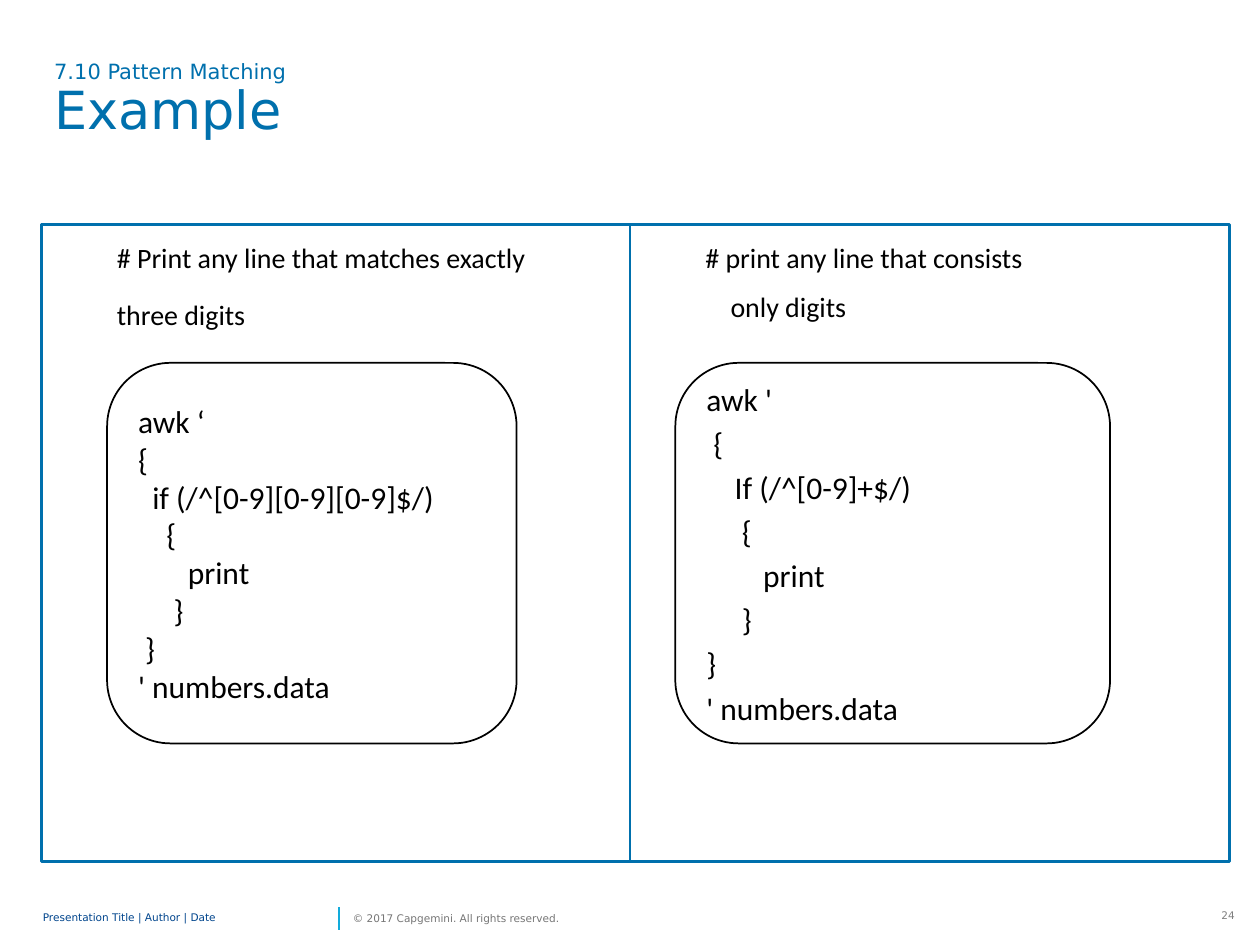
from dataclasses import dataclass

import pptx
import pptx.dml.color
import pptx.enum.shapes
import pptx.enum.text
import pptx.oxml.ns
import pptx.util
from pptx.util import Inches

COLORS = {
    "white": "FFFFFF",
    "black": "000000",
    "blue": "0070AD",
    "cyan": "12ABDB",
    "navy": "00458D",
    "copyright": "767676",
    "number": "808080",
}
SANS = "DejaVu Sans"
BODY = "Calibri"
ANCHOR = pptx.enum.text.MSO_ANCHOR
SHAPE = pptx.enum.shapes.MSO_SHAPE


@dataclass
class Example:
    panel_left: float
    panel_width: float
    code_left: float
    code_width: float
    comment: list[tuple[str, float]]  # text and left indent in inches
    comment_after: float
    code: list[str]
    code_before: float


@dataclass
class Label:
    text: str
    left: float
    top: float
    width: float
    height: float
    color: str
    wrap: bool = True
    insets: tuple[float, float] = (0, 0)
    anchor: ANCHOR = ANCHOR.MIDDLE
    align: pptx.enum.text.PP_ALIGN = pptx.enum.text.PP_ALIGN.LEFT
    spacing: float = 1.0


EXAMPLES = [
    Example(
        0.33, 4.67, 0.85, 3.25,
        [("# Print any line that matches exactly", 0.5), ("three digits", 0.5)], 4.5,
        ["awk ‘", "{", "  if (/^[0-9][0-9][0-9]$/)", "    {", "       print",
         "     }", " }", "' numbers.data"], 0,
    ),
    Example(
        5, 4.76, 5.36, 3.45,
        [("# print any line that consists", 0.5), ("only digits", 0.7)], 0,
        ["awk '", " {", "    If (/^[0-9]+$/)", "     {", "        print",
         "     }", "}", "' numbers.data"], 3.6,
    ),
]
LABELS = [
    Label("24", 9.57, 7.17, 0.3, 0.18, "number", False, (0.07, 0.04),
          ANCHOR.TOP, pptx.enum.text.PP_ALIGN.RIGHT),
    Label("Presentation Title | Author | Date", 0.34, 7.17, 2.32, 0.24, "navy", spacing=0.85),
    Label("© 2017 Capgemini. All rights reserved.", 2.8, 7.17, 1.82, 0.24, "copyright", False),
]


def rgb(name: str) -> pptx.dml.color.RGBColor:
    return pptx.dml.color.RGBColor.from_string(COLORS[name])


def add_span(para, text: str, size: float, font: str, color: str) -> None:
    span = para.add_run()
    span.text = text
    span.font.size = pptx.util.Pt(size)
    span.font.name = font
    span.font.color.rgb = rgb(color)


def set_frame(frame, anchor: ANCHOR, wrap: bool = True,
              insets: tuple[float, float] = (0.1, 0.05)) -> None:
    frame.auto_size = pptx.enum.text.MSO_AUTO_SIZE.NONE
    frame.vertical_anchor = anchor
    frame.word_wrap = wrap
    frame.margin_left = frame.margin_right = Inches(insets[0])
    frame.margin_top = frame.margin_bottom = Inches(insets[1])


def add_lines(frame, lines: list[tuple[str, float]], size: float,
              before: float, after: float, spacing=None) -> None:
    """Write one paragraph per (text, indent) pair."""
    for index, (text, indent) in enumerate(lines):
        para = frame.add_paragraph() if index else frame.paragraphs[0]
        para.alignment = pptx.enum.text.PP_ALIGN.LEFT
        para.space_before = pptx.util.Pt(before if index else 0)
        para.space_after = pptx.util.Pt(after)
        para.line_spacing = spacing
        if indent:
            para._p.get_or_add_pPr().set("marL", str(Inches(indent)))
        add_span(para, text, size, BODY, "black")


def add_outline(page, kind: SHAPE, left: float, top: float, width: float,
                height: float, color: str, weight: float):
    shape = page.shapes.add_shape(
        kind, Inches(left), Inches(top), Inches(width), Inches(height))
    shape.shadow.inherit = False
    shape.line.color.rgb = rgb(color)
    shape.line.width = pptx.util.Pt(weight)
    return shape


def add_example(page, example: Example) -> None:
    panel = add_outline(page, SHAPE.RECTANGLE, example.panel_left, 1.78,
                        example.panel_width, 5.06, "blue", 1.5)
    panel.fill.background()
    set_frame(panel.text_frame, ANCHOR.TOP)
    add_lines(panel.text_frame, example.comment, 16, 3.2, example.comment_after,
              pptx.util.Pt(25))

    code_box = add_outline(page, SHAPE.ROUNDED_RECTANGLE, example.code_left, 2.88,
                           example.code_width, 3.02, "black", 1)
    code_box.fill.solid()
    code_box.fill.fore_color.rgb = rgb("white")
    set_frame(code_box.text_frame, ANCHOR.MIDDLE, wrap=False)
    add_lines(code_box.text_frame, [(line, 0) for line in example.code], 18,
              example.code_before, 0)


def add_label(page, label: Label) -> None:
    box = page.shapes.add_textbox(Inches(label.left), Inches(label.top),
                                  Inches(label.width), Inches(label.height))
    set_frame(box.text_frame, label.anchor, label.wrap, label.insets)
    para = box.text_frame.paragraphs[0]
    para.alignment = label.align
    para.line_spacing = label.spacing
    add_span(para, label.text, 6, SANS, label.color)


def add_footer_divider(page) -> None:
    divider = page.shapes.add_connector(
        pptx.enum.shapes.MSO_CONNECTOR.STRAIGHT,
        Inches(2.69), Inches(7.38), Inches(2.69), Inches(7.2))
    divider.line.color.rgb = rgb("cyan")
    divider.line.width = pptx.util.Pt(1)
    properties = divider._element.spPr
    properties.append(properties.makeelement(pptx.oxml.ns.qn("a:effectLst"), {}))


def set_title(page) -> None:
    title = page.shapes.title
    title.left, title.top = Inches(0.33), Inches(0.44)
    title.width, title.height = Inches(8.98), Inches(0.95)
    set_frame(title.text_frame, ANCHOR.TOP)
    para = title.text_frame.paragraphs[0]
    para.alignment = pptx.enum.text.PP_ALIGN.LEFT
    para.line_spacing = 0.9
    add_span(para, "7.10 Pattern Matching", 12, SANS, "blue")
    para.add_line_break()
    add_span(para, "Example", 30, SANS, "blue")


def main() -> None:
    deck = pptx.Presentation()
    deck.slide_width, deck.slide_height = Inches(10), Inches(7.5)
    page = deck.slides.add_slide(deck.slide_layouts[5])
    set_title(page)
    for example in EXAMPLES:
        add_example(page, example)
    for label in LABELS:
        add_label(page, label)
    add_footer_divider(page)
    deck.save("out.pptx")


if __name__ == "__main__":
    main()
